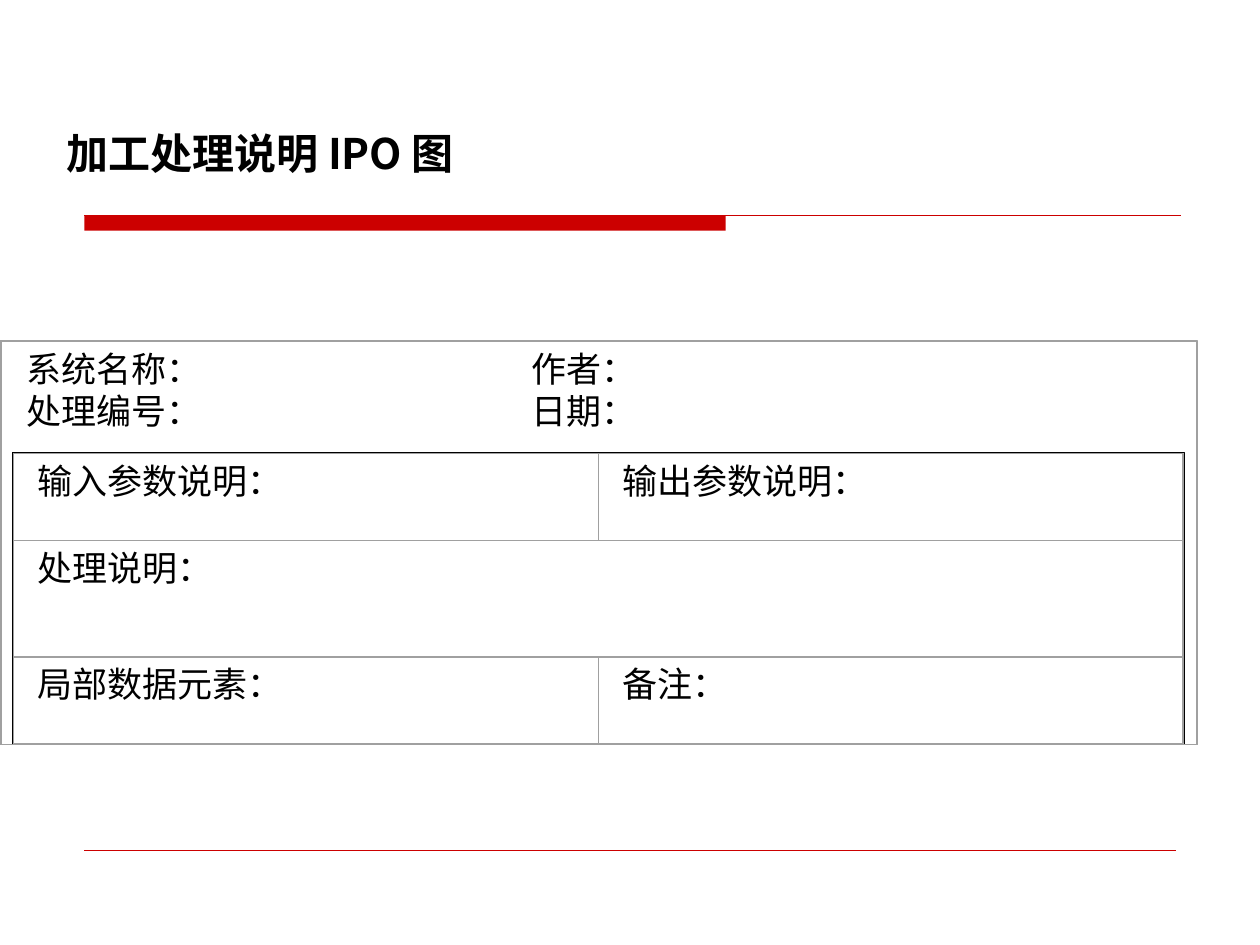
from lxml import etree
from pptx import Presentation
from pptx.dml.color import RGBColor
from pptx.enum.shapes import MSO_CONNECTOR, MSO_SHAPE
from pptx.enum.text import MSO_ANCHOR
from pptx.oxml.ns import qn
from pptx.util import Inches, Pt

RECT = MSO_SHAPE.RECTANGLE
STRAIGHT = MSO_CONNECTOR.STRAIGHT
TOP, BOTTOM = MSO_ANCHOR.TOP, MSO_ANCHOR.BOTTOM
FONT = "Noto Sans CJK SC"
RED, GREY, BLACK = "CC0000", "A0A0A0", "000000"
LEFT, WIDTH, PAD = 0.11, 9.28, 0.09
FORM_TABS = (2.39, 4.01, 5.65)
ROWS = [
    (3.6, 0.69, ["输入参数说明：", "输出参数说明："]),
    (4.29, 0.93, ["处理说明："]),
    (5.21, 0.69, ["局部数据元素：", "备注："]),
]
FORM_LINES = [("系统名称：", "作者："), ("处理编号：", "日期：")]


def color(value):
    return RGBColor.from_string(value)


def add_rect(s, box, line=None, width=0, fill=None):
    sp = s.shapes.add_shape(RECT, *map(Inches, box))
    sp.shadow.inherit = False
    if fill:
        sp.fill.solid()
        sp.fill.fore_color.rgb = color(fill)
    else:
        sp.fill.background()
    if line:
        sp.line.color.rgb = color(line)
        sp.line.width = Pt(width)
    else:
        sp.line.fill.background()


def add_line(s, x1, x2, y, width):
    sp = s.shapes.add_connector(STRAIGHT, *map(Inches, (x1, y, x2, y)))
    sp.line.color.rgb = color(RED)
    sp.line.width = Pt(width)
    etree.SubElement(sp._element.spPr, qn("a:effectLst"))


def style(p, size, bold=False):
    p.font.size = Pt(size)
    p.font.bold = bold
    p.font.color.rgb = color(BLACK)
    p.font.name = FONT
    defaults = p._p.pPr.find(qn("a:defRPr"))
    etree.SubElement(defaults, qn("a:ea"), typeface=FONT)


def add_frame(s, box, anchor=TOP):
    tf = s.shapes.add_textbox(*map(Inches, box)).text_frame
    tf.word_wrap = True
    tf.vertical_anchor = anchor
    return tf


def add_text(s, box, text, size=20, bold=False, anchor=TOP):
    p = add_frame(s, box, anchor).paragraphs[0]
    p.text = text
    style(p, size, bold)


def set_tabs(p, stops):
    tabs = etree.Element(qn("a:tabLst"))
    for stop in stops:
        etree.SubElement(tabs, qn("a:tab"), pos=str(Inches(stop)), algn="l")
    p._p.get_or_add_pPr().insert(0, tabs)


def add_form(s, box, lines):
    tf = add_frame(s, box)
    for i, (first, second) in enumerate(lines):
        p = tf.paragraphs[0] if i == 0 else tf.add_paragraph()
        style(p, 20)
        set_tabs(p, FORM_TABS)
        for text in (first, "\t", "\t" + second, "\t"):
            r = p.add_run()
            r.text = text
            r.font.underline = text == "\t"


def add_row(s, top, height, labels):
    width = WIDTH / len(labels)
    for i, label in enumerate(labels):
        x = LEFT + i * width
        add_text(s, (x + PAD, top, width - 2 * PAD, height), label)
        add_rect(s, (x, top, width, height), GREY)


def main():
    prs = Presentation()
    prs.slide_width, prs.slide_height = Inches(10), Inches(7.5)
    s = prs.slides.add_slide(prs.slide_layouts[6])
    add_rect(s, (0.67, 1.71, 5.09, 0.12), fill=RED)
    add_line(s, 0.67, 9.37, 1.71, 0.75)
    add_line(s, 0.67, 9.33, 6.75, 0.25)
    add_text(s, (0.43, 0.84, 8.75, 0.62), "加工处理说明 IPO 图", 24, True, BOTTOM)
    add_form(s, (LEFT, 2.71, WIDTH, 1.1), FORM_LINES)
    for row in ROWS:
        add_row(s, *row)
    add_rect(s, (0.1, 3.59, 9.3, 2.32), BLACK, 0.75)
    add_rect(s, (0.01, 2.71, 9.49, 3.2), GREY)
    add_rect(s, (0, 2.7, 9.5, 3.21), GREY, 0.75)
    prs.save("out.pptx")


if __name__ == "__main__":
    main()
